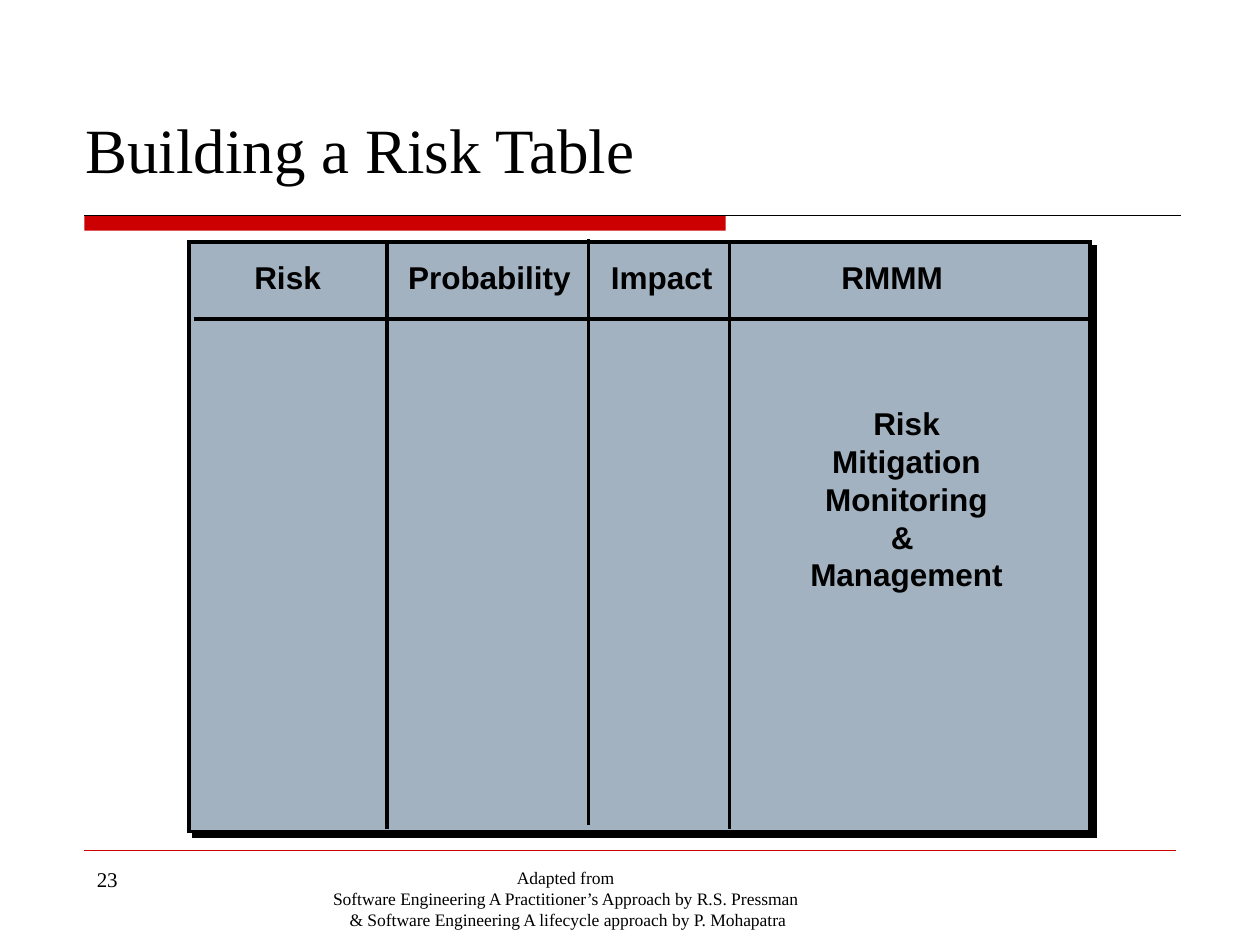
from pptx import Presentation
from pptx.util import Inches, Pt
from pptx.dml.color import RGBColor as RGB
from pptx.enum.shapes import MSO_CONNECTOR as CONN, MSO_SHAPE as SHAPE
from pptx.enum.text import MSO_ANCHOR as ANCHOR, PP_ALIGN as ALIGN
from lxml import etree
from pptx.oxml.ns import qn

COLORS = {"red": "CC0000", "slate": "A3B2C1", "black": "000000"}


def add_line(x1, y1, x2, y2, color, width):
    line = slide.shapes.add_connector(
        CONN.STRAIGHT, Inches(x1), Inches(y1), Inches(x2), Inches(y2))
    line.line.color.rgb = RGB.from_string(COLORS[color])
    line.line.width = Pt(width)
    etree.SubElement(line._element.spPr, qn("a:effectLst"))


def add_text(box, rows, size, name="Times New Roman", bold=False,
             align=ALIGN.LEFT):
    text = slide.shapes.add_textbox(*map(Inches, box))
    frame = text.text_frame
    frame.word_wrap = True
    frame.text = "\n".join(rows)
    style = {"name": name, "size": Pt(size), "bold": bold}
    for para in frame.paragraphs:
        para.alignment = align
        for run in para.runs:
            for key, value in style.items():
                setattr(run.font, key, value)
            run.font.color.rgb = RGB.from_string(COLORS["black"])
    return text


deck = Presentation()
deck.slide_width, deck.slide_height = Inches(10), Inches(7.5)
slide = deck.slides.add_slide(deck.slide_layouts[6])

# Title rule and footer rule
bar = slide.shapes.add_shape(
    SHAPE.RECTANGLE, Inches(0.67), Inches(1.71), Inches(5.09), Inches(0.12))
bar.shadow.inherit = False
bar.fill.solid()
bar.fill.fore_color.rgb = RGB.from_string(COLORS["red"])
bar.line.fill.background()
add_line(0.67, 1.71, 9.37, 1.71, "black", 0.75)
add_line(0.67, 6.75, 9.33, 6.75, "red", 0.25)

# Page number, footer and title
add_text((0.67, 6.83, 2.17, 0.52), ["23"], 12)
add_text((2.42, 6.83, 4.17, 0.42), [
    "Adapted from ",
    "Software Engineering A Practitioner’s Approach by R.S. Pressman ",
    "& Software Engineering A lifecycle approach by P. Mohapatra",
], 10, align=ALIGN.CENTER)
title = add_text((0.58, 0.83, 6.96, 0.7), ["Building a Risk Table"], 36)
title.text_frame.vertical_anchor = ANCHOR.MIDDLE

# Panel with a hard shadow and square corners
panel = slide.shapes.add_shape(
    SHAPE.RECTANGLE, Inches(1.5), Inches(1.92), Inches(7.15), Inches(4.68))
panel.fill.solid()
panel.fill.fore_color.rgb = RGB.from_string(COLORS["slate"])
panel.line.color.rgb = RGB.from_string(COLORS["black"])
panel.line.width = Pt(2)
panel.shadow.inherit = False
props = panel._element.spPr
etree.SubElement(props.find(qn("a:ln")), qn("a:miter"), lim="800000")
shade = etree.SubElement(
    props.find(qn("a:effectLst")), qn("a:outerShdw"), dist=str(Pt(4.2)),
    dir="2700000", algn="ctr", rotWithShape="0")
etree.SubElement(shade, qn("a:srgbClr"), val=COLORS["black"])

# Column and header rules
for x, top in ((3.07, 1.93), (4.67, 1.9), (5.79, 1.93)):
    add_line(x, top, x, top + 4.65, "black", 2)
add_line(1.54, 2.53, 8.64, 2.53, "black", 2)

# Column heads and the RMMM entry, with side insets that leave room to spare
RMMM = ["Risk", "Mitigation", "Monitoring", "& ", "Management"]
labels = [
    ((1.92, 2, 0.73, 0.4), ["Risk"], ALIGN.LEFT, 0.1),
    ((3.14, 2, 1.49, 0.4), ["Probability"], ALIGN.LEFT, 0.1),
    ((4.75, 2, 1, 0.4), ["Impact"], ALIGN.LEFT, 0.1),
    ((6.58, 2, 1, 0.4), ["RMMM"], ALIGN.LEFT, 0.1),
    ((6.33, 3.16, 1.73, 1.6), RMMM, ALIGN.CENTER, 0),
]
for box, rows, align, inset in labels:
    label = add_text(box, rows, 18, "Arial", True, align)
    label.text_frame.margin_left = Inches(inset)
    label.text_frame.margin_right = 0
    label.fill.solid()
    label.fill.fore_color.rgb = RGB.from_string(COLORS["slate"])

deck.save("out.pptx")
